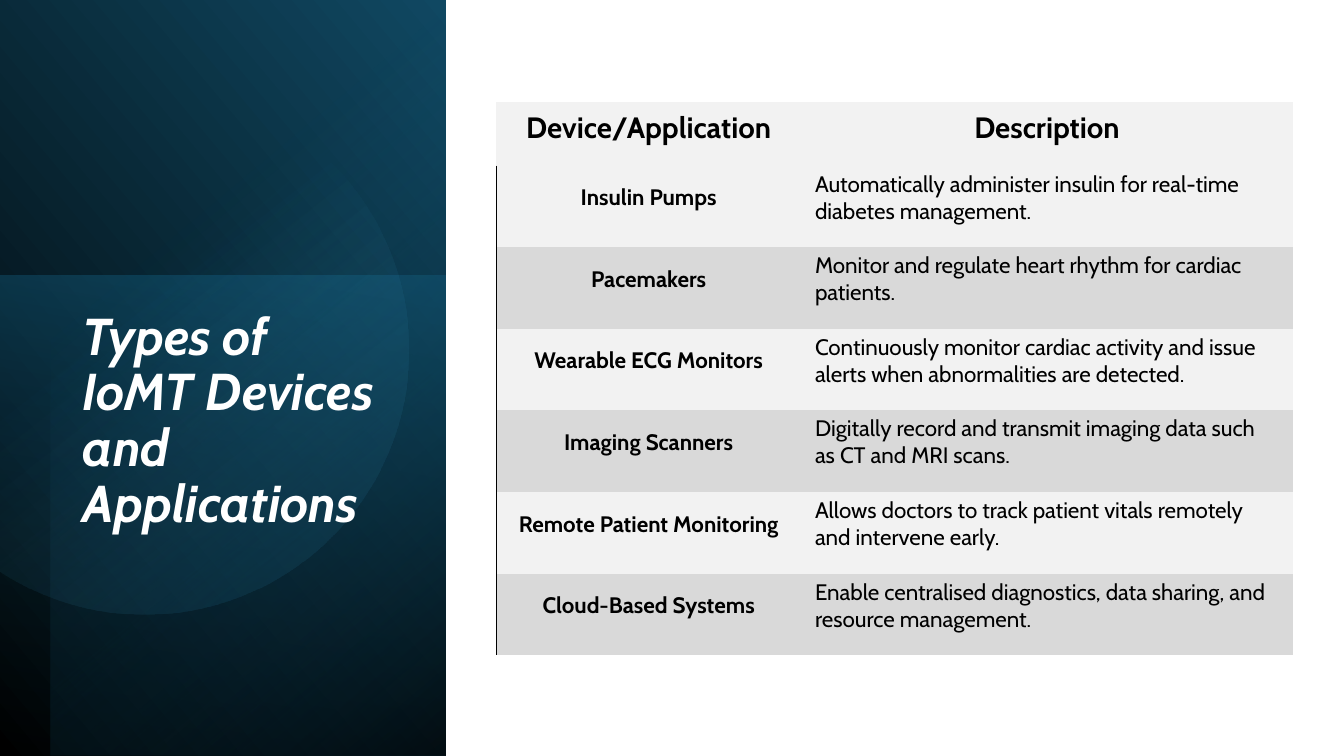
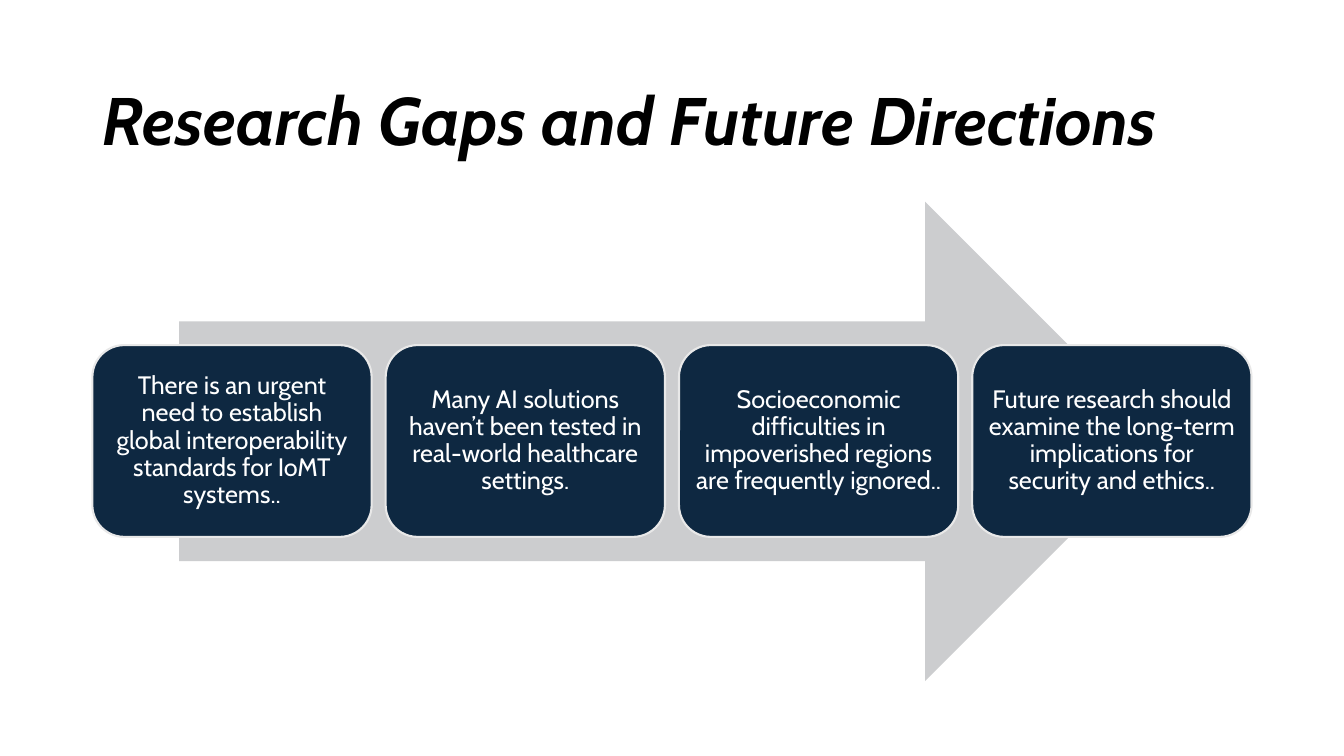
"""Build two slides on medical IoT devices and research gaps."""
import dataclasses
import math

import pptx
import pptx.dml.color
import pptx.enum.shapes
import pptx.enum.text
import pptx.oxml
import pptx.oxml.ns
import pptx.util

Pt = pptx.util.Pt
Align = pptx.enum.text.PP_ALIGN
Anchor = pptx.enum.text.MSO_ANCHOR
Preset = pptx.enum.shapes.MSO_SHAPE


@dataclasses.dataclass(frozen=True)
class Theme:
    font: str = "Cabin"
    black: str = "000000"
    white: str = "FFFFFF"
    navy: str = "0E2841"
    blue: str = "104862"
    teal: str = "156082"
    deep_teal: str = "0B3041"
    sky: str = "46B1E1"
    arrow: str = "CCCDCF"
    outline: str = "E8E8E8"
    light_row: str = "F2F2F2"
    dark_row: str = "D9D9D9"
    side_title: int = 37
    wide_title: int = 48
    table_head: int = 21
    table_body: int = 16
    card: int = 18


THEME = Theme()

DEVICES = [
    ("Insulin Pumps", "Automatically administer insulin for real-time diabetes management."),
    ("Pacemakers", "Monitor and regulate heart rhythm for cardiac patients."),
    ("Wearable ECG Monitors",
     "Continuously monitor cardiac activity and issue alerts when abnormalities are detected."),
    ("Imaging Scanners", "Digitally record and transmit imaging data such as CT and MRI scans."),
    ("Remote Patient Monitoring",
     "Allows doctors to track patient vitals remotely and intervene early."),
    ("Cloud-Based Systems",
     "Enable centralised diagnostics, data sharing, and resource management."),
]

RESEARCH_GAPS = [
    "There is an urgent need to establish global interoperability standards for IoMT systems..",
    "Many AI solutions haven’t been tested in real-world healthcare settings.",
    "Socioeconomic difficulties in impoverished regions are frequently ignored..",
    "Future research should examine the long-term implications for security and ethics..",
]


def rgb(color):
    return pptx.dml.color.RGBColor.from_string(color)


def xml(tag, body):
    namespace = pptx.oxml.ns.nsdecls("a")
    name = tag.split()[0]
    return pptx.oxml.parse_xml(f"<a:{tag} {namespace}>{body}</a:{name}>")


def write(frame, text, size, color, bold=False, italic=False, align=Align.LEFT, spacing=1.0):
    paragraph = frame.paragraphs[0]
    paragraph.alignment = align
    paragraph.line_spacing = spacing
    run = paragraph.add_run()
    run.text = text
    font = run.font
    font.name, font.size, font.bold, font.italic = THEME.font, Pt(size), bold, italic
    font.color.rgb = rgb(color)


def add_title_slide(presentation):
    return presentation.slides.add_slide(presentation.slide_layouts[5])


def set_title(slide, text, box, size, color, anchor):
    title = slide.shapes.title
    slide.shapes.element.append(title.element)
    title.left, title.top, title.width, title.height = map(Pt, box)
    frame = title.text_frame
    frame.auto_size = pptx.enum.text.MSO_AUTO_SIZE.NONE
    frame.word_wrap = True
    frame.vertical_anchor = anchor
    write(frame, text, size, color, bold=True, italic=True, spacing=0.9)


def add_shape(slide, preset, box, fill=None):
    shape = slide.shapes.add_shape(preset, *map(Pt, box))
    shape.shadow.inherit = False
    shape.line.fill.background()
    if fill:
        shape.fill.solid()
        shape.fill.fore_color.rgb = rgb(fill)
    return shape


def set_gradient(shape, stops, angle):
    body = "".join(
        f'<a:gs pos="{position * 1000}"><a:srgbClr val="{color}">'
        f'<a:alpha val="{opacity * 1000}"/></a:srgbClr></a:gs>'
        for position, color, opacity in stops
    )
    gradient = xml(
        'gradFill rotWithShape="1"',
        f'<a:gsLst>{body}</a:gsLst><a:lin ang="{angle * 60000}" scaled="0"/>',
    )
    shape.fill.background()
    properties = shape.element.spPr
    properties.replace(properties.find(pptx.oxml.ns.qn("a:noFill")), gradient)


def add_turned_panel(slide, box, rotation, flipped, stops, angle):
    left, top, width, height = box
    shift = (width - height) / 2
    panel = add_shape(slide, Preset.RECTANGLE, (left + shift, top - shift, height, width))
    panel.rotation = rotation
    if flipped:
        panel.element.spPr.get_or_add_xfrm().set("flipH", "1")
    set_gradient(panel, stops, angle)


def add_cut_circle(slide, center_x, center_y, radius, stops, angle):
    """Draw a circle cut off at the left edge of the slide."""
    limit = math.acos(-center_x / radius)
    steps = 120
    turns = [limit * (2 * step / steps - 1) for step in range(steps + 1)]
    points = [
        (Pt(center_x + radius * math.cos(turn)), Pt(center_y + radius * math.sin(turn)))
        for turn in turns
    ]
    builder = slide.shapes.build_freeform(*points[0])
    builder.add_line_segments(points[1:], close=True)
    circle = builder.convert_to_shape()
    circle.shadow.inherit = False
    circle.line.fill.background()
    set_gradient(circle, stops, angle)


def add_side_panel(slide):
    width, height = 318.5, 540
    add_turned_panel(slide, (0, 0, width, height), 90, True,
                     [(0, THEME.black, 100), (100, THEME.blue, 100)], 310)
    add_turned_panel(slide, (0, 197, width, height - 197), 270, False,
                     [(0, THEME.teal, 50), (100, THEME.deep_teal, 0)], 190)
    add_turned_panel(slide, (36, 0, width - 36, height), 270, True,
                     [(0, THEME.black, 59), (69, THEME.teal, 0)], 220)
    add_cut_circle(slide, 103, 250, 189,
                   [(39, THEME.sky, 0), (100, THEME.blue, 26)], 52)


def fill_cell(cell, text, size, fill, bold, align, anchor):
    cell.margin_left, cell.margin_top = Pt(7.2), Pt(2)
    cell.margin_right, cell.margin_bottom = Pt(10), Pt(14.4)
    cell.vertical_anchor = anchor
    cell.fill.solid()
    cell.fill.fore_color.rgb = rgb(fill)
    write(cell.text_frame, text, size, THEME.black, bold=bold, align=align)


def add_left_border(cell):
    line = xml('lnL w="12700"', f'<a:solidFill><a:srgbClr val="{THEME.black}"/></a:solidFill>')
    cell._tc.get_or_add_tcPr().insert(0, line)


def add_device_table(slide):
    widths, head_height, row_height = (220.5, 348.5), 45.3, 58.3
    frame = slide.shapes.add_table(
        len(DEVICES) + 1, len(widths), Pt(354.5), Pt(73),
        Pt(sum(widths)), Pt(head_height + row_height * len(DEVICES)))
    table = frame.table
    table.first_row = table.horz_banding = False
    style = table._tbl.tblPr.find(pptx.oxml.ns.qn("a:tableStyleId"))
    style.text = "{2D5ABB26-0587-4C30-8999-92F81FD0307C}"
    for column, width in zip(table.columns, widths):
        column.width = Pt(width)
    for row in table.rows:
        row.height = Pt(row_height)
    table.rows[0].height = Pt(head_height)
    for column, heading in enumerate(("Device/Application", "Description")):
        fill_cell(table.cell(0, column), heading, THEME.table_head, THEME.light_row,
                  True, Align.CENTER, Anchor.BOTTOM)
    for row, (device, description) in enumerate(DEVICES, 1):
        fill = THEME.light_row if row % 2 else THEME.dark_row
        fill_cell(table.cell(row, 0), device, THEME.table_body, fill,
                  True, Align.CENTER, Anchor.MIDDLE)
        fill_cell(table.cell(row, 1), description, THEME.table_body, fill,
                  False, Align.LEFT, Anchor.MIDDLE)
        add_left_border(table.cell(row, 0))


def add_card(slide, box, text):
    card = add_shape(slide, Preset.ROUNDED_RECTANGLE, box, THEME.navy)
    card.line.color.rgb = rgb(THEME.outline)
    card.line.width = Pt(1.5)
    frame = card.text_frame
    frame.word_wrap = True
    frame.vertical_anchor = Anchor.MIDDLE
    frame.margin_left = frame.margin_right = frame.margin_top = frame.margin_bottom = Pt(5)
    write(frame, text, THEME.card, THEME.white, align=Align.CENTER, spacing=0.9)


def add_card_row(slide, left, top, width, height, gap, texts):
    card_width = (width - gap * (len(texts) - 1)) / len(texts)
    for index, text in enumerate(texts):
        add_card(slide, (left + index * (card_width + gap), top, card_width, height), text)


def build_device_slide(presentation):
    slide = add_title_slide(presentation)
    add_side_panel(slide)
    set_title(slide, "Types of IoMT Devices and Applications", (52, 218, 227, 242),
              THEME.side_title, THEME.white, Anchor.TOP)
    add_device_table(slide)


def build_research_slide(presentation):
    slide = add_title_slide(presentation)
    set_title(slide, "Research Gaps and Future Directions", (66, 44, 828, 89),
              THEME.wide_title, THEME.black, Anchor.MIDDLE)
    add_shape(slide, Preset.RIGHT_ARROW, (128, 144, 704, 342.5), THEME.arrow)
    add_card_row(slide, 66, 246.5, 828, 137, 10, RESEARCH_GAPS)


def main():
    presentation = pptx.Presentation()
    presentation.slide_width, presentation.slide_height = Pt(960), Pt(540)
    build_device_slide(presentation)
    build_research_slide(presentation)
    presentation.save("out.pptx")


if __name__ == "__main__":
    main()
